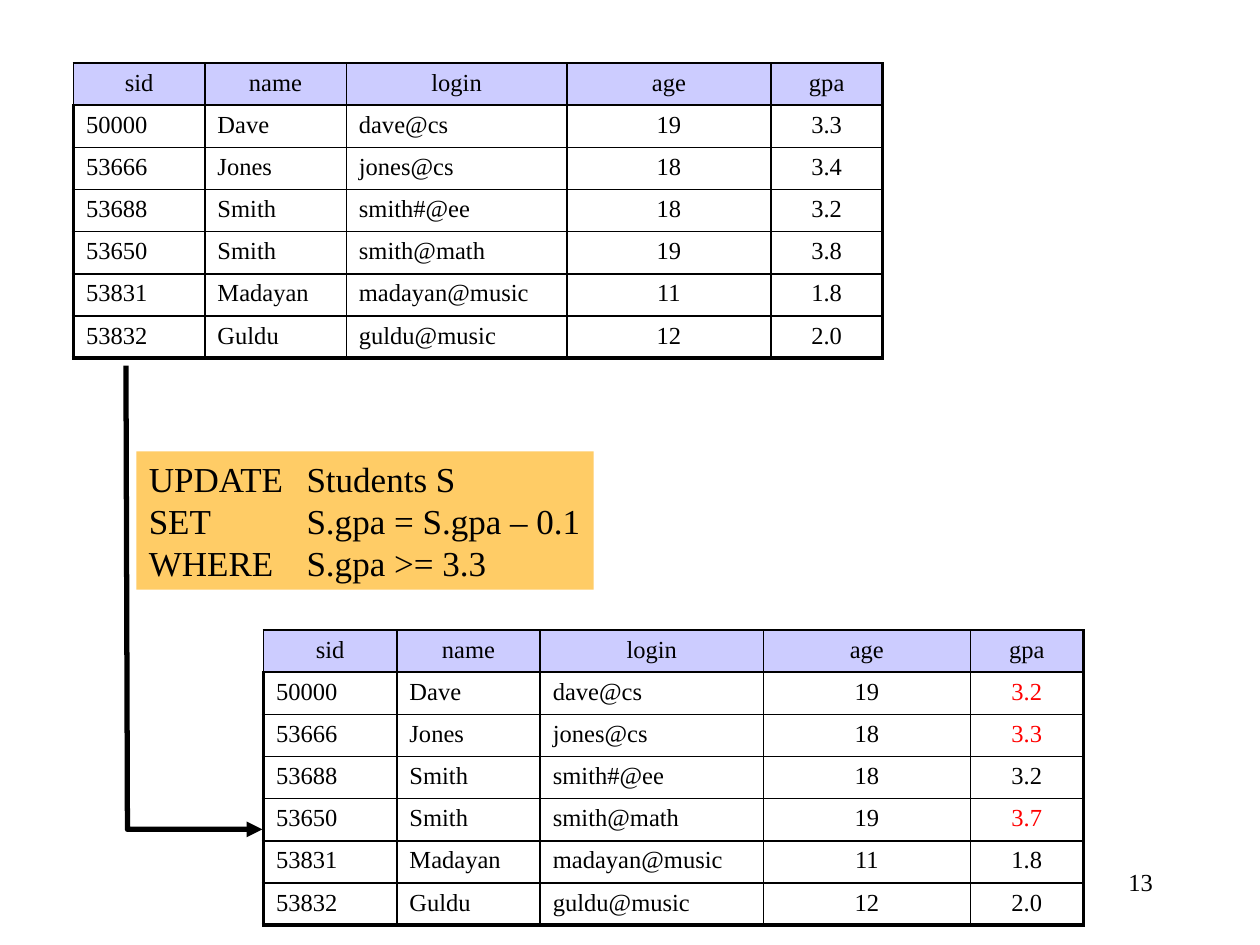
from lxml import etree
from pptx import Presentation
from pptx.dml.color import RGBColor
from pptx.enum.shapes import MSO_SHAPE
from pptx.enum.text import MSO_ANCHOR, PP_ALIGN
from pptx.oxml.ns import qn
from pptx.util import Cm, Pt

BLACK = RGBColor(0x00, 0x00, 0x00)
RED = RGBColor(0xFF, 0x00, 0x00)
LILAC = RGBColor(0xCC, 0xCC, 0xFF)
AMBER = RGBColor(0xFF, 0xCC, 0x66)
RECT = MSO_SHAPE.RECTANGLE
TOP = MSO_ANCHOR.TOP
LEFT, MID, RIGHT = PP_ALIGN.LEFT, PP_ALIGN.CENTER, PP_ALIGN.RIGHT
FACE = "Times New Roman"


def style(para, size, align=LEFT, color=BLACK):
    para.alignment = align
    para.font.name = FACE
    para.font.size = Pt(size)
    para.font.color.rgb = color


def border(cell, side, width):
    props = cell._tc.get_or_add_tcPr()
    line = etree.SubElement(props, qn("a:ln" + side), w=str(Pt(width)))
    fill = etree.SubElement(line, qn("a:solidFill"))
    etree.SubElement(fill, qn("a:srgbClr"), val=str(BLACK))


deck = Presentation()
deck.slide_width, deck.slide_height = Cm(25.4), Cm(19.05)
slide = deck.slides.add_slide(deck.slide_layouts[6])
shapes = slide.shapes

page = shapes.add_textbox(Cm(18.21), Cm(17.35), Cm(5.28), Cm(1.27)).text_frame
page.word_wrap = True
page.text = "13"
style(page.paragraphs[0], 14, RIGHT)

HEAD = ["sid", "name", "login", "age", "gpa"]
PEOPLE = [
    ["50000", "Dave", "dave@cs", "19"],
    ["53666", "Jones", "jones@cs", "18"],
    ["53688", "Smith", "smith#@ee", "18"],
    ["53650", "Smith", "smith@math", "19"],
    ["53831", "Madayan", "madayan@music", "11"],
    ["53832", "Guldu", "guldu@music", "12"],
]
OLD = ["3.3", "3.4", "3.2", "3.8", "1.8", "2.0"]
NEW = ["3.2", "3.3", "3.2", "3.7", "1.8", "2.0"]
TABLES = [
    (1.48, 1.27, [2.65, 2.85, 4.45, 4.11, 2.25], OLD),
    (5.31, 12.7, [2.69, 2.89, 4.5, 4.17, 2.28], NEW),
]
HIGH = 0.85

for left, top, widths, grades in TABLES:
    rows = [HEAD] + [who + [gpa] for who, gpa in zip(PEOPLE, grades)]
    last = len(rows) - 1
    grid = shapes.add_table(len(rows), len(HEAD), Cm(left), Cm(top),
                            Cm(sum(widths)), Cm(HIGH * len(rows))).table
    grid.first_row = grid.horz_banding = False
    for col, width in zip(grid.columns, widths):
        col.width = Cm(width)
    for r, row in enumerate(rows):
        grid.rows[r].height = Cm(HIGH)
        for c, word in enumerate(row):
            cell = grid.cell(r, c)
            border(cell, "L", 2.25 if r and c == 0 else 1)
            border(cell, "R", 2.25 if c == 4 else 1)
            border(cell, "T", 1)
            border(cell, "B", 2.25 if r == last else 1)
            if r == 0:
                cell.fill.solid()
                cell.fill.fore_color.rgb = LILAC
            else:
                cell.fill.background()
            cell.text = word
            cut = r > 0 and c == 4 and word != OLD[r - 1]
            style(cell.text_frame.paragraphs[0], 14,
                  MID if r == 0 or c > 2 else LEFT, RED if cut else BLACK)

query = shapes.add_shape(RECT, Cm(2.75), Cm(9.1), Cm(9.22), Cm(2.79))
query.shadow.inherit = False
query.fill.solid()
query.fill.fore_color.rgb = AMBER
query.line.fill.background()
frame = query.text_frame
frame.word_wrap = False
frame.vertical_anchor = TOP
frame.text = "UPDATE\tStudents S\nSET\tS.gpa = S.gpa – 0.1\nWHERE\tS.gpa >= 3.3"
for para in frame.paragraphs:
    tabs = etree.SubElement(para._p.get_or_add_pPr(), qn("a:tabLst"))
    etree.SubElement(tabs, qn("a:tab"), pos=str(Cm(3.18)), algn="l")
    style(para, 20)

pen = shapes.build_freeform(Cm(2.54), Cm(7.37))
pen.add_line_segments([(Cm(2.57), Cm(16.72)), (Cm(5.29), Cm(16.72))], close=False)
arrow = pen.convert_to_shape()
arrow.shadow.inherit = False
arrow.fill.background()
arrow.line.color.rgb = BLACK
arrow.line.width = Pt(3)
etree.SubElement(arrow.line._get_or_add_ln(), qn("a:tailEnd"), type="triangle")

deck.save("out.pptx")
